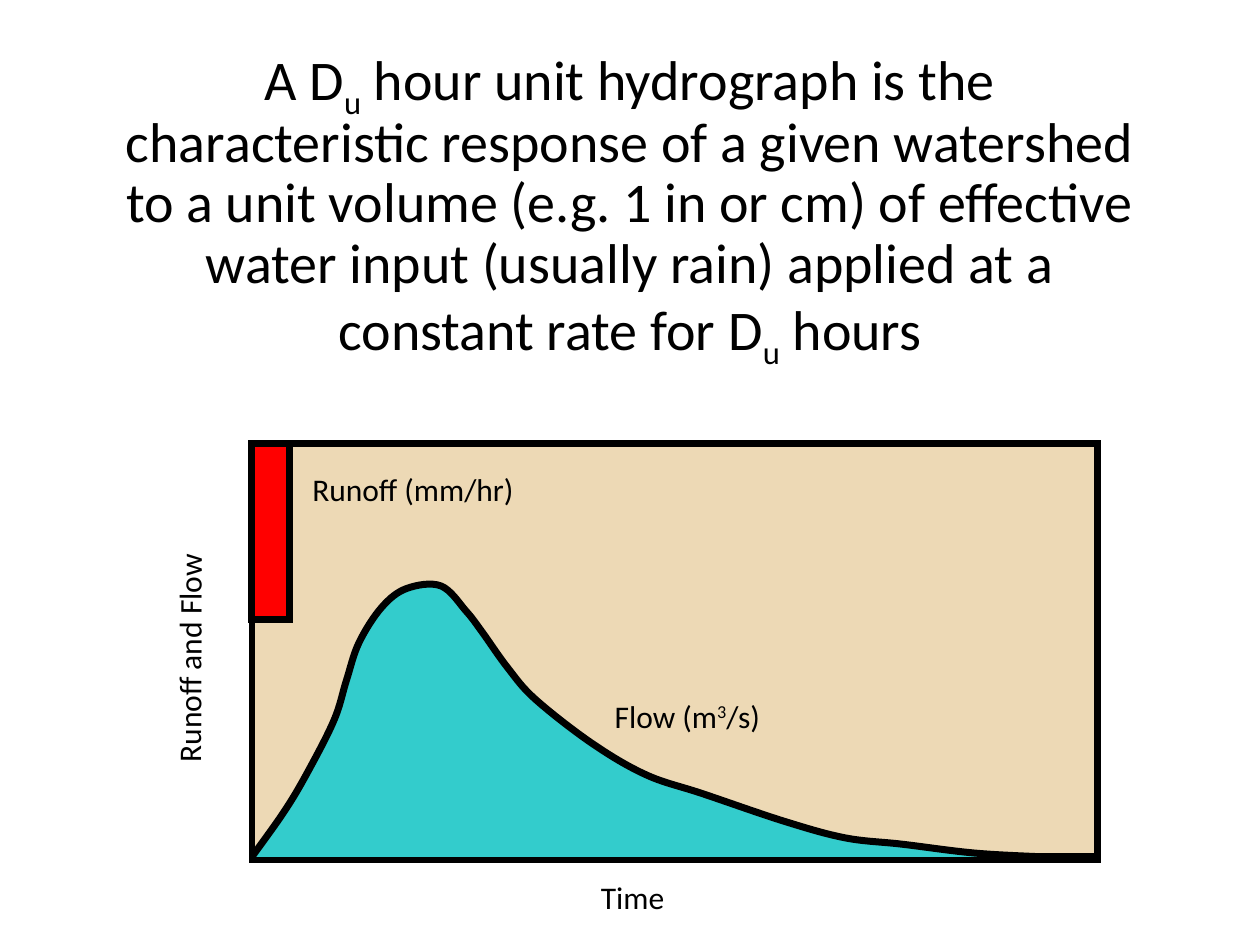
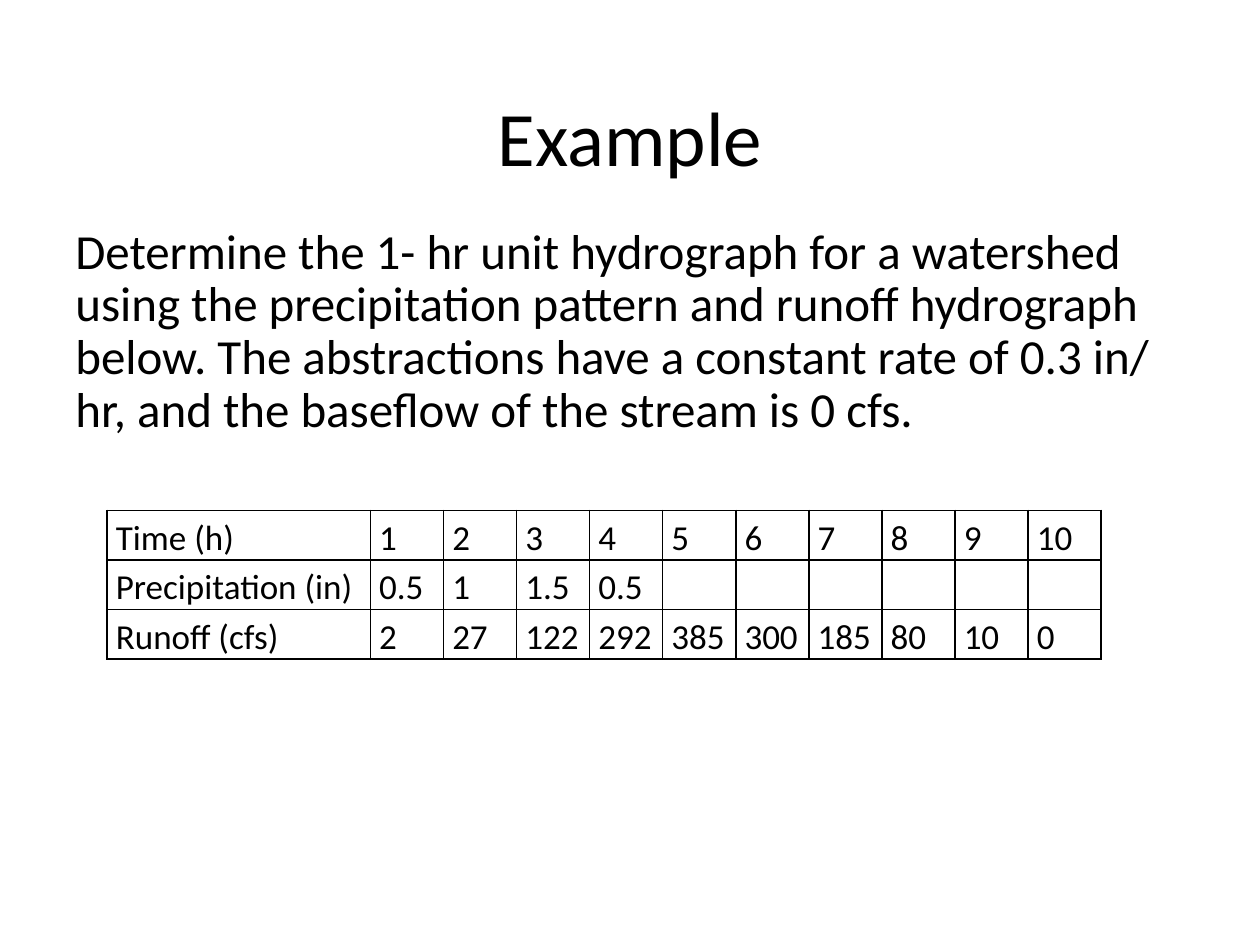
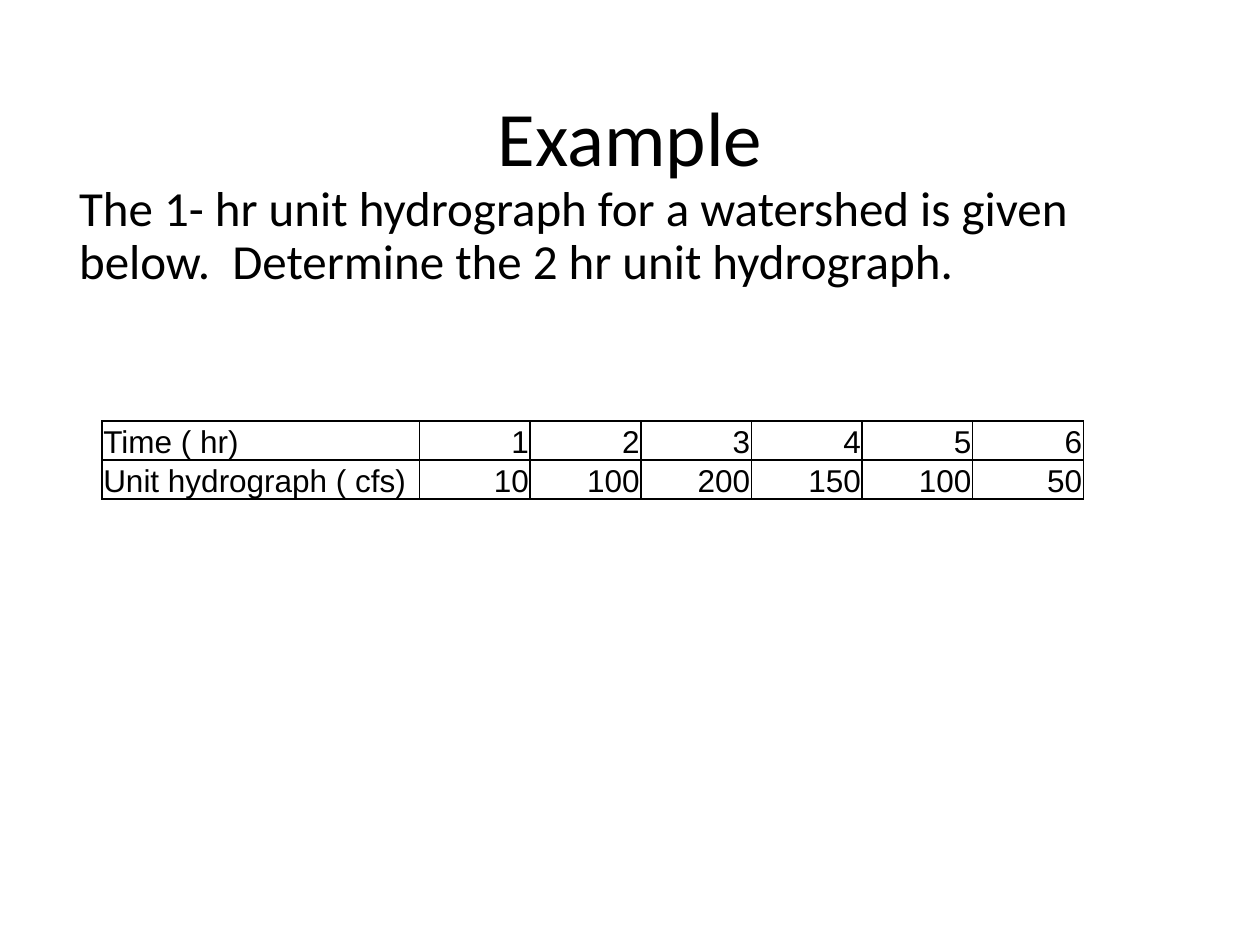
"""Build three slides on unit hydrographs."""
from dataclasses import dataclass

from lxml import etree
from pptx import Presentation
from pptx import util as u
from pptx.dml.color import RGBColor
from pptx.enum import shapes, text
from pptx.oxml.ns import qn

INK = {"black": "000000", "sand": "EDD9B5", "teal": "33CCCC", "red": "FF0000"}
SUB, SUP = -25000, 30000
LEFT, RIGHT, TOP, BASE = 2, 8.71, 3.52, 6.8
KNOTS = [
    (2, 6.8), (2.25, 6.45), (2.43, 6.15), (2.65, 5.72), (2.75, 5.4),
    (2.85, 5.1), (3.03, 4.82), (3.23, 4.67), (3.5, 4.65), (3.7, 4.85),
    (3.83, 5.02), (4.03, 5.3), (4.25, 5.55), (4.7, 5.9), (5.13, 6.15),
    (5.58, 6.3), (6.23, 6.52), (6.71, 6.65), (7.16, 6.7), (7.73, 6.77),
    (8.26, 6.8),
]


@dataclass
class Box:
    """A place on the slide, in inches."""
    x: float
    y: float
    w: float
    h: float

    def emu(self) -> tuple:
        """Return the four lengths for a shape call."""
        return tuple(u.Inches(v) for v in (self.x, self.y, self.w, self.h))


@dataclass
class Label:
    """A one-line label of (text, baseline) runs."""
    box: Box
    runs: list
    turn: float = 0


@dataclass
class Grid:
    """A ruled table with one wide head column and equal others."""
    box: Box
    head: float
    rows: list
    font: str
    size: int
    pad: tuple
    lead: float = 1.0
    side: text.PP_ALIGN = text.PP_ALIGN.LEFT
    hold: text.MSO_ANCHOR = text.MSO_ANCHOR.TOP


HEAD = Box(0.69, 0.4, 8.62, 1.45)


def rgb(name: str) -> RGBColor:
    """Look up a colour by name."""
    return RGBColor.from_string(INK[name])


def write(para, runs: list, size: int, font: str = "Calibri", lead: float = 1.0) -> None:
    """Fill a paragraph with runs in one font."""
    for words, shift in runs:
        run = para.add_run()
        run.text = words
        if shift:
            run._r.get_or_add_rPr().set("baseline", str(shift))
    if lead != 1:
        para.line_spacing = lead
    para.font.size = u.Pt(size)
    para.font.name = font
    para.font.color.rgb = rgb("black")


def new_slide(deck, runs: list, size: int = 44, box: Box = HEAD):
    """Add a title-only slide and set its title."""
    slide = deck.slides.add_slide(deck.slide_layouts[5])
    title = slide.shapes.title
    title.left, title.top, title.width, title.height = box.emu()
    frame = title.text_frame
    frame.auto_size = text.MSO_AUTO_SIZE.NONE
    frame.vertical_anchor = text.MSO_ANCHOR.MIDDLE
    para = frame.paragraphs[0]
    para.alignment = text.PP_ALIGN.CENTER
    write(para, runs, size, lead=0.9)
    return slide


def add_body(slide, box: Box, words: str) -> None:
    """Add a wrapped block of body text."""
    frame = slide.shapes.add_textbox(*box.emu()).text_frame
    frame.word_wrap = True
    write(frame.paragraphs[0], [(words, 0)], 28, lead=0.9)


def add_label(slide, label: Label) -> None:
    """Add a label that does not wrap."""
    shape = slide.shapes.add_textbox(*label.box.emu())
    shape.rotation = label.turn
    frame = shape.text_frame
    frame.word_wrap = False
    frame.auto_size = text.MSO_AUTO_SIZE.SHAPE_TO_FIT_TEXT
    write(frame.paragraphs[0], label.runs, 18)


def paint(shape, fill: str) -> None:
    """Give a shape its fill and heavy outline with sharp corners."""
    shape.shadow.inherit = False
    shape.fill.solid()
    shape.fill.fore_color.rgb = rgb(fill)
    shape.line.color.rgb = rgb("black")
    shape.line.width = u.Pt(4)
    edge = shape._element.spPr.find(qn("a:ln"))
    etree.SubElement(edge, qn("a:miter"), lim="800000")


def add_rect(slide, box: Box, fill: str) -> None:
    """Add an outlined rectangle."""
    paint(slide.shapes.add_shape(shapes.MSO_SHAPE.RECTANGLE, *box.emu()), fill)


def add_rule(slide, start: tuple, end: tuple) -> None:
    """Add a heavy straight line."""
    ends = [u.Inches(v) for v in (*start, *end)]
    line = slide.shapes.add_connector(shapes.MSO_CONNECTOR.STRAIGHT, *ends)
    line.line.color.rgb = rgb("black")
    line.line.width = u.Pt(4)
    etree.SubElement(line._element.spPr, qn("a:effectLst"))


def bend(shape) -> None:
    """Turn the straight segments of a freeform into smooth curves."""
    pts = [(int(p.get("x")), int(p.get("y"))) for p in shape._element.iter(qn("a:pt"))]
    ends = [pts[0], *pts, pts[-1]]
    lines = list(shape._element.iter(qn("a:lnTo")))
    for line, a, b, c, d in zip(lines, ends, ends[1:], ends[2:], ends[3:]):
        curve = etree.Element(qn("a:cubicBezTo"))
        out = [q + (r - p) / 6 for p, q, r in zip(a, b, c)]
        back = [r - (s - q) / 6 for q, r, s in zip(b, c, d)]
        for x, y in (out, back, c):
            etree.SubElement(curve, qn("a:pt"), x=str(round(x)), y=str(round(y)))
        line.getparent().replace(line, curve)


def add_flow(slide) -> None:
    """Add the filled flow curve."""
    knots = [(u.Inches(x), u.Inches(y)) for x, y in KNOTS]
    path = slide.shapes.build_freeform(*knots[0])
    path.add_line_segments(knots[1:], close=False)
    flow = path.convert_to_shape()
    bend(flow)
    paint(flow, "teal")


def rule_cell(cell) -> None:
    """Draw thin black borders on a clear cell."""
    props = cell._tc.get_or_add_tcPr()
    for side in ("lnL", "lnR", "lnT", "lnB"):
        line = etree.SubElement(props, qn(f"a:{side}"), w=str(u.Pt(1)))
        fill = etree.SubElement(line, qn("a:solidFill"))
        etree.SubElement(fill, qn("a:srgbClr"), val=INK["black"])
    cell.fill.background()


def end_mark(para, size: int, font: str) -> None:
    """Size the paragraph's end mark so that it does not stretch the row."""
    mark = etree.SubElement(para._p, qn("a:endParaRPr"), sz=str(size * 100))
    etree.SubElement(mark, qn("a:latin"), typeface=font)


def add_grid(slide, grid: Grid) -> None:
    """Add a table; rows share the height evenly."""
    high, wide = len(grid.rows), len(grid.rows[0])
    table = slide.shapes.add_table(high, wide, *grid.box.emu()).table
    table.first_row = table.horz_banding = False
    rest = (grid.box.w - grid.head) / (wide - 1)
    for i, col in enumerate(table.columns):
        col.width = u.Inches(rest if i else grid.head)
    for i, row in enumerate(grid.rows):
        for j, words in enumerate(row):
            cell = table.cell(i, j)
            rule_cell(cell)
            (cell.margin_left, cell.margin_top, cell.margin_right,
             cell.margin_bottom) = (u.Inches(v) for v in grid.pad)
            cell.vertical_anchor = grid.hold
            para = cell.text_frame.paragraphs[0]
            if j:
                para.alignment = grid.side
            write(para, [(words, 0)] if words else [], grid.size, grid.font, grid.lead)
            end_mark(para, grid.size, grid.font)


def draw_graph(deck) -> None:
    """Build the slide that defines the unit hydrograph."""
    slide = new_slide(deck, [
        ("A D", 0), ("u", SUB),
        (" hour unit hydrograph is the characteristic response of a given "
         "watershed to a unit volume (e.g. 1 in or cm) of effective water input "
         "(usually rain) applied at a constant rate for D", 0),
        ("u", SUB), (" hours", 0)], 32, Box(0.75, 0, 8.5, 3.25))
    add_rect(slide, Box(LEFT, TOP, RIGHT - LEFT, 3.3), "sand")
    add_rule(slide, (LEFT, BASE), (LEFT, 3.5))
    add_rule(slide, (LEFT, BASE), (RIGHT, BASE))
    add_flow(slide)
    add_rule(slide, (LEFT, TOP), (RIGHT, TOP))
    add_rect(slide, Box(LEFT, TOP, 0.3, 1.4), "red")
    for label in (
        Label(Box(2.38, 3.68, 1.82, 0.4), [("Runoff (mm/hr)", 0)]),
        Label(Box(4.78, 5.48, 1.38, 0.4), [("Flow (m", 0), ("3", SUP), ("/s)", 0)]),
        Label(Box(4.67, 6.92, 0.71, 0.4), [("Time", 0)]),
        Label(Box(0.56, 5.01, 1.88, 0.4), [("Runoff and Flow", 0)], 270.2),
    ):
        add_label(slide, label)


def draw_rain(deck) -> None:
    """Build the example with rain and runoff."""
    slide = new_slide(deck, [("Example", 0)])
    add_body(slide, Box(0.5, 1.75, 9, 2.23),
             "Determine the 1- hr unit hydrograph for a watershed using the "
             "precipitation pattern and runoff hydrograph below. The abstractions "
             "have a constant rate of 0.3 in/ hr, and the baseflow of the stream "
             "is 0 cfs.")
    rows = [
        ["Time (h)", *map(str, range(1, 11))],
        ["Precipitation (in)", "0.5", "1", "1.5", "0.5", *[""] * 6],
        ["Runoff (cfs)", "2", "27", "122", "292", "385", "300", "185", "80", "10", "0"],
    ]
    add_grid(slide, Grid(Box(0.85, 4.05, 7.89, 1.18), 2.09, rows, "Calibri", 20,
                         (0.07, 0, 0.07, 0), 1.15))


def draw_unit(deck) -> None:
    """Build the example with a known unit hydrograph."""
    slide = new_slide(deck, [("Example", 0)])
    add_body(slide, Box(0.53, 1.41, 9, 4.95),
             "The 1- hr unit hydrograph for a watershed is given below.  "
             "Determine the 2 hr unit hydrograph.")
    rows = [
        ["Time ( hr)", *map(str, range(1, 7))],
        ["Unit hydrograph ( cfs)", "10", "100", "200", "150", "100", "50"],
    ]
    add_grid(slide, Grid(Box(0.81, 3.34, 7.79, 0.58), 2.52, rows, "Arial", 18,
                         (0.01, 0.01, 0.01, 0), side=text.PP_ALIGN.RIGHT,
                         hold=text.MSO_ANCHOR.BOTTOM))


def main() -> None:
    """Build and save the deck."""
    deck = Presentation()
    deck.slide_width, deck.slide_height = u.Inches(10), u.Inches(7.5)
    for draw in (draw_graph, draw_rain, draw_unit):
        draw(deck)
    deck.save("out.pptx")


if __name__ == "__main__":
    main()
